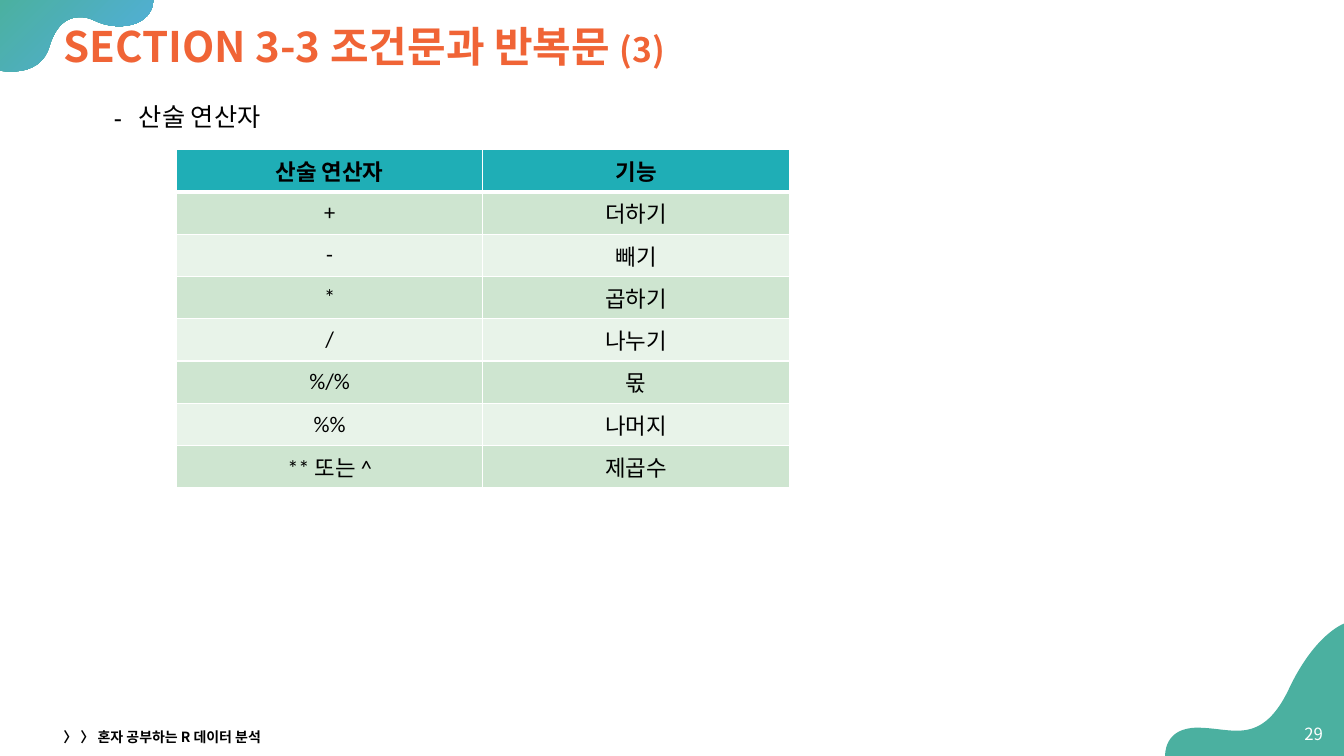
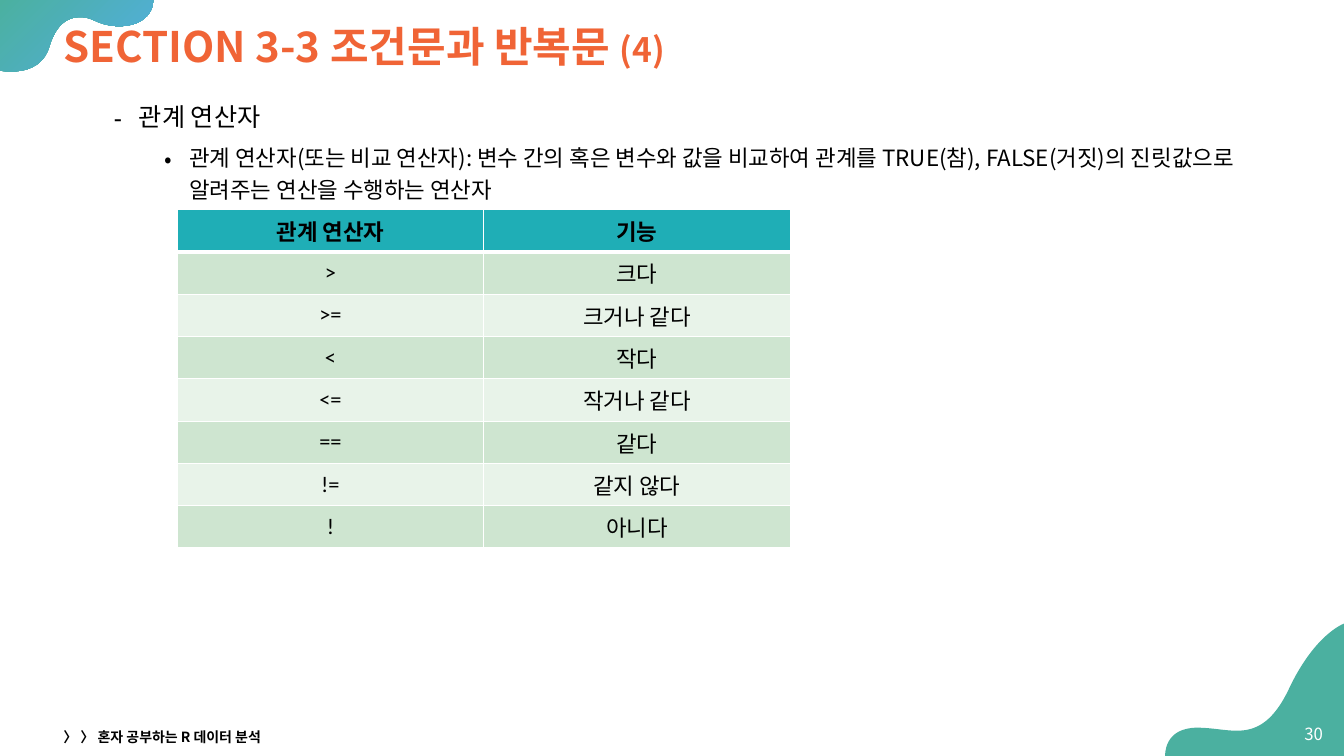
from itertools import chain

from lxml import etree
from pptx import Presentation
from pptx import util as u
from pptx.dml.color import RGBColor
from pptx.enum import text
from pptx.oxml.ns import qn

COLORS = {
    "title": "F06436", "text": "000000", "white": "FFFFFF",
    "green": "4BB0A0", "blue": "52AEE1",
    "header": "1FAEB6", "odd_row": "CEE5D0", "even_row": "E8F3E9",
}
FONT = "Noto Sans CJK KR"
TABLE_FONT = "Calibri"
SECTION = "SECTION 3-3 조건문과 반복문 "
FOOTER = "〉 〉 혼자 공부하는 R 데이터 분석"
LEFT, CONTENT_WIDTH = 38.2, 888.5
COLUMN_WIDTH, ROW_HEIGHT = 218.9, 30.22

# Each outline is a start point, then curves (three points) and lines (one point).
CORNER_START = (109.4, 0)
CORNER = [
    [(0, 0)],
    [(0, 50.4)],
    [(0, 50.4), (2.9, 51.1), (7.9, 51.1)],
    [(17.3, 51.1), (31, 48.2), (35.3, 33.1)],
    [(40.3, 16.6), (49, 12.2), (56.9, 12.2)],
    [(60.5, 12.2), (64.1, 13), (67, 14.4)],
    [(72.7, 17.3), (79.2, 18.7), (85, 18.7)],
    [(98.6, 18.7), (109.4, 12.2), (109.4, 0)],
]
WAVE_START = (960, 445.5)
WAVE = [
    [(960, 445.5), (938.9, 452.9), (920.2, 493.2)],
    [(908.6, 517), (896.4, 522), (883.4, 522)],
    [(874.8, 522), (865.4, 519.8), (855.4, 519.8)],
    [(830.9, 519.8), (832.3, 540), (832.3, 540)],
    [(960, 540)],
]

SLIDES = [
    {
        "part": "(3)", "number": "29", "table_at": (126, 106.8),
        "points": ["산술 연산자"],
        "rows": [
            ("산술 연산자", "기능"), ("+", "더하기"), ("-", "빼기"),
            ("*", "곱하기"), ("/", "나누기"), ("%/%", "몫"),
            ("%%", "나머지"), ("** 또는 ^", "제곱수"),
        ],
    },
    {
        "part": "(4)", "number": "30", "table_at": (126.6, 149.7),
        "points": [
            "관계 연산자",
            "관계 연산자(또는 비교 연산자): 변수 간의 혹은 변수와 값을 비교하여 "
            "관계를 TRUE(참), FALSE(거짓)의 진릿값으로 알려주는 연산을 수행하는 연산자",
        ],
        "rows": [
            ("관계 연산자", "기능"), (">", "크다"), (">=", "크거나 같다"),
            ("<", "작다"), ("<=", "작거나 같다"), ("==", "같다"),
            ("!=", "같지 않다"), ("!", "아니다"),
        ],
    },
]


def rgb(name):
    return RGBColor.from_string(COLORS[name])


def style(para, size, color="text", bold=False, font=FONT):
    """Set the paragraph font, without pair kerning."""
    para.font.size = u.Pt(size)
    para.font.bold = bold
    para.font.color.rgb = rgb(color)
    para.font.name = font
    defaults = para._p.get_or_add_pPr().find(qn("a:defRPr"))
    defaults.set("kern", "0")
    etree.SubElement(defaults, qn("a:ea"), typeface=FONT)


def add_box(page, left, top, width, height, anchor=text.MSO_ANCHOR.MIDDLE):
    box = page.shapes.add_textbox(*map(u.Pt, (left, top, width, height)))
    frame = box.text_frame
    frame.word_wrap = True
    frame.vertical_anchor = anchor
    return frame


def add_label(page, words, place, size, color="text", bold=False,
              align=text.PP_ALIGN.LEFT):
    para = add_box(page, *place).paragraphs[0]
    para.add_run().text = words
    para.alignment = align
    style(para, size, color, bold)
    return para


def add_blob(page, start, segments):
    """Build the outline from straight lines, then bend each three into a curve."""
    first, *rest = [(round(x * 100), round(y * 100))
                    for x, y in chain([start], *segments)]
    builder = page.shapes.build_freeform(*first, scale=u.Pt(0.01))
    builder.add_line_segments(rest, close=True)
    blob = builder.convert_to_shape()
    lines = iter(list(blob._element.iter(qn("a:lnTo"))))
    for segment in segments:
        line, *others = [next(lines) for _ in segment]
        if others:
            line.tag = qn("a:cubicBezTo")
        for other in others:
            line.append(other[0])
            other.getparent().remove(other)
    blob.shadow.inherit = False
    blob.line.fill.background()
    return blob


def add_frame(page, part, number):
    """Draw the corner shapes, title, page number and footer."""
    corner = add_blob(page, CORNER_START, CORNER)
    corner.fill.gradient()
    corner.fill.gradient_angle = 315
    for stop, color in zip(corner.fill.gradient_stops, ("green", "blue")):
        stop.color.rgb = rgb(color)
    wave = add_blob(page, WAVE_START, WAVE)
    wave.fill.solid()
    wave.fill.fore_color.rgb = rgb("green")

    title = add_label(page, SECTION, (LEFT, 8.6, CONTENT_WIDTH, 52.6), 30,
                      "title", True)
    title.line_spacing = 0.9
    span = title.add_run()
    span.text = part
    span.font.size = u.Pt(24)
    add_label(page, number, (920.4, 509.8, 31.7, 28.8), 12, "white",
              align=text.PP_ALIGN.RIGHT)
    add_label(page, FOOTER, (LEFT, 517.7, 324, 17.3), 10, bold=True)


def add_points(page, points):
    """Write one bullet per outline level."""
    frame = add_box(page, LEFT, 64.6, CONTENT_WIDTH, 414, text.MSO_ANCHOR.TOP)
    levels = (("⁃", 54, 18), ("•", 90, 16))
    for level, (words, (mark, margin, size)) in enumerate(zip(points, levels), 1):
        para = frame.paragraphs[0] if level == 1 else frame.add_paragraph()
        para.add_run().text = words
        para.level = level
        para.line_spacing = 1.2
        if level > 1:
            para.space_before = u.Pt(5)
        props = para._p.get_or_add_pPr()
        props.set("marL", str(u.Pt(margin)))
        props.set("indent", str(u.Pt(-18)))
        etree.SubElement(props, qn("a:buFont"), typeface=FONT)
        etree.SubElement(props, qn("a:buChar"), char=mark)
        style(para, size)


def add_borders(cell, top, bottom):
    props = cell._tc.get_or_add_tcPr()
    for side, width in (("L", 1), ("R", 1), ("T", top), ("B", bottom)):
        line = etree.SubElement(props, qn(f"a:ln{side}"), w=str(u.Pt(width)))
        fill = etree.SubElement(line, qn("a:solidFill"))
        etree.SubElement(fill, qn("a:srgbClr"), val=COLORS["white"])


def add_operator_table(page, left, top, rows):
    columns = len(rows[0])
    table = page.shapes.add_table(
        len(rows), columns, u.Pt(left), u.Pt(top),
        u.Pt(COLUMN_WIDTH * columns), u.Pt(ROW_HEIGHT * len(rows))).table
    for r, row in enumerate(rows):
        table.rows[r].height = u.Pt(ROW_HEIGHT)
        fill = "header" if r == 0 else ("even_row", "odd_row")[r % 2]
        for c, words in enumerate(row):
            cell = table.cell(r, c)
            add_borders(cell, 3 if r == 1 else 1, 3 if r == 0 else 1)
            cell.fill.solid()
            cell.fill.fore_color.rgb = rgb(fill)
            cell.vertical_anchor = text.MSO_ANCHOR.MIDDLE
            para = cell.text_frame.paragraphs[0]
            para.add_run().text = words
            para.alignment = text.PP_ALIGN.CENTER
            style(para, 16, bold=r == 0, font=TABLE_FONT)


def main():
    deck = Presentation()
    deck.slide_width, deck.slide_height = u.Pt(960), u.Pt(540)
    for content in SLIDES:
        page = deck.slides.add_slide(deck.slide_layouts[6])
        add_frame(page, content["part"], content["number"])
        add_points(page, content["points"])
        add_operator_table(page, *content["table_at"], content["rows"])
    deck.save("out.pptx")


if __name__ == "__main__":
    main()
